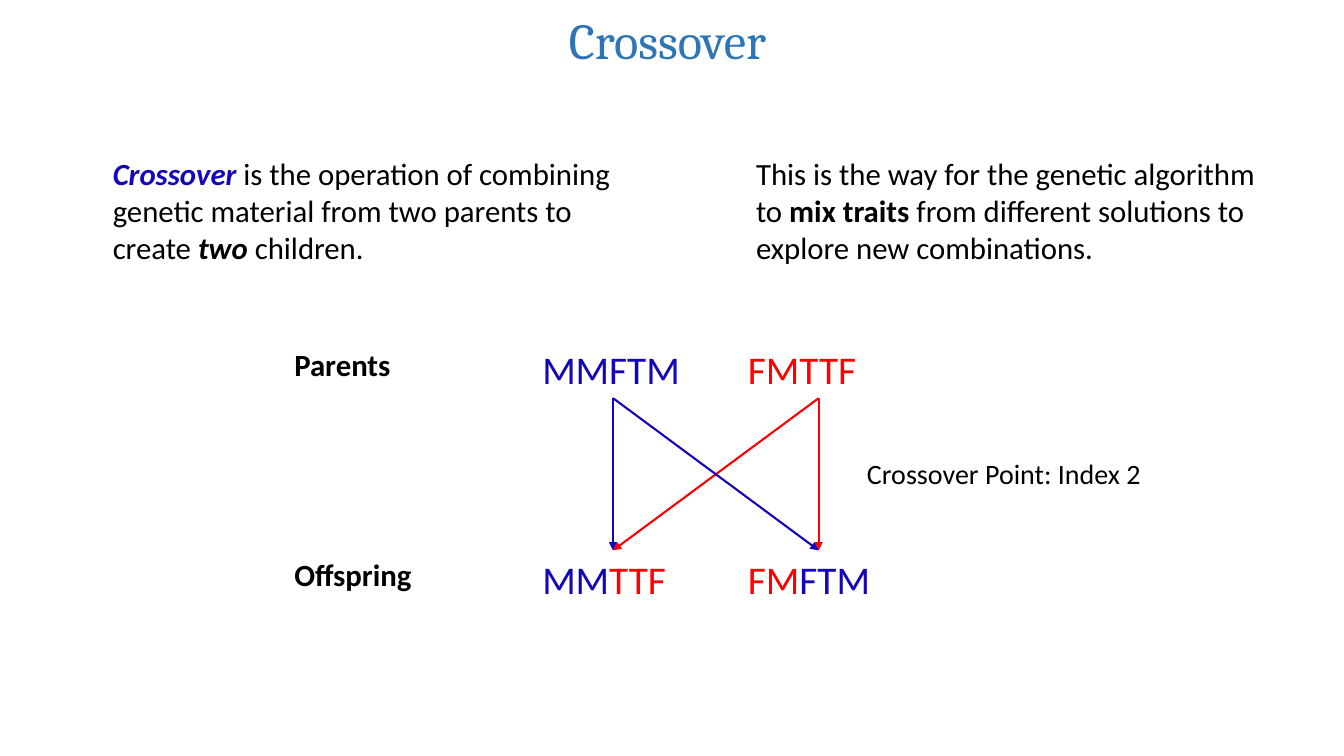
import dataclasses

import lxml.etree
import pptx
import pptx.dml.color
import pptx.enum.shapes
import pptx.enum.text
import pptx.oxml.ns
import pptx.util


@dataclasses.dataclass(frozen=True)
class Theme:
    title_font: str = "Cambria"
    body_font: str = "Calibri"
    title_color: str = "2E75B6"
    black: str = "000000"
    blue: str = "1306BA"
    red: str = "FF0000"
    title_size: int = 36
    gene_size: int = 28
    body_size: int = 22
    note_size: int = 20
    line_width: float = 1.5


theme = Theme()

TITLE = "Crossover"
STATEMENTS = [
    ((102, 149, 555, 121), [
        ("Crossover", theme.blue, "bi"),
        (" is the operation of combining genetic material from two parents to create ", theme.black, ""),
        ("two", theme.black, "bi"),
        (" children.", theme.black, ""),
    ]),
    ((740, 149, 531, 121), [
        ("This is the way for the genetic algorithm to ", theme.black, ""),
        ("mix traits", theme.black, "b"),
        (" from different solutions to explore new combinations.", theme.black, ""),
    ]),
]
GENERATIONS = [
    ("Parents", [
        [("MMFTM", theme.blue, "")],
        [("FMTTF", theme.red, "")],
    ]),
    ("Offspring", [
        [("MM", theme.blue, ""), ("TTF", theme.red, "")],
        [("FM", theme.red, ""), ("FTM", theme.blue, "")],
    ]),
]
NOTE = "Crossover Point: Index 2"
ARROWS = [(1, 0, theme.red), (0, 0, theme.blue), (1, 1, theme.red), (0, 1, theme.blue)]

PX = 9144
SLIDE_W, SLIDE_H = 1333, 750
TITLE_BOX = (52, 8, 1220, 62)
NOTE_BOX = (850, 448, 302, 44)
LABEL_X, LABEL_W, LABEL_H = 282, 151, 47
GENE_X, GENE_STEP, GENE_W, GENE_H = 528, 204, 161, 57
ROW_Y, ROW_STEP = 338, 208


def px(*values):
    return [pptx.util.Emu(v * PX) for v in values]


def rgb(color):
    return pptx.dml.color.RGBColor.from_string(color)


def add_text(slide, box, runs, size):
    sp = slide.shapes.add_textbox(*px(*box))
    tf = sp.text_frame
    tf.word_wrap = True
    p = tf.paragraphs[0]
    for text, color, style in runs:
        r = p.add_run()
        r.text = text
        r.font.name = theme.body_font
        r.font.size = pptx.util.Pt(size)
        r.font.color.rgb = rgb(color)
        r.font.bold = "b" in style
        r.font.italic = "i" in style


def add_title(slide):
    sp = slide.shapes.title
    sp.left, sp.top, sp.width, sp.height = px(*TITLE_BOX)
    tf = sp.text_frame
    tf.text = TITLE
    tf.auto_size = pptx.enum.text.MSO_AUTO_SIZE.NONE
    tf.vertical_anchor = pptx.enum.text.MSO_ANCHOR.MIDDLE
    p = tf.paragraphs[0]
    p.alignment = pptx.enum.text.PP_ALIGN.CENTER
    r = p.runs[0]
    r.font.name = theme.title_font
    r.font.size = pptx.util.Pt(theme.title_size)
    r.font.color.rgb = rgb(theme.title_color)


def add_arrow(slide, parent, child, color):
    x1, x2 = (GENE_X + GENE_W // 2 + GENE_STEP * i for i in (parent, child))
    ends = px(x1, ROW_Y + GENE_H, x2, ROW_Y + ROW_STEP)
    line = slide.shapes.add_connector(pptx.enum.shapes.MSO_CONNECTOR.STRAIGHT, *ends)
    line.line.color.rgb = rgb(color)
    line.line.width = pptx.util.Pt(theme.line_width)
    qn = pptx.oxml.ns.qn
    lxml.etree.SubElement(line.line._get_or_add_ln(), qn("a:tailEnd"), type="triangle")
    lxml.etree.SubElement(line._element.spPr, qn("a:effectLst"))


def main():
    prs = pptx.Presentation()
    prs.slide_width, prs.slide_height = px(SLIDE_W, SLIDE_H)
    slide = prs.slides.add_slide(prs.slide_layouts[5])
    add_title(slide)
    for box, runs in STATEMENTS:
        add_text(slide, box, runs, theme.body_size)
    for row, (label, genomes) in enumerate(GENERATIONS):
        y = ROW_Y + row * ROW_STEP
        add_text(slide, (LABEL_X, y, LABEL_W, LABEL_H), [(label, theme.black, "b")], theme.body_size)
        for col, runs in enumerate(genomes):
            x = GENE_X + col * GENE_STEP
            add_text(slide, (x, y, GENE_W, GENE_H), runs, theme.gene_size)
    add_text(slide, NOTE_BOX, [(NOTE, theme.black, "")], theme.note_size)
    for parent, child, color in ARROWS:
        add_arrow(slide, parent, child, color)
    prs.save("out.pptx")


if __name__ == "__main__":
    main()
